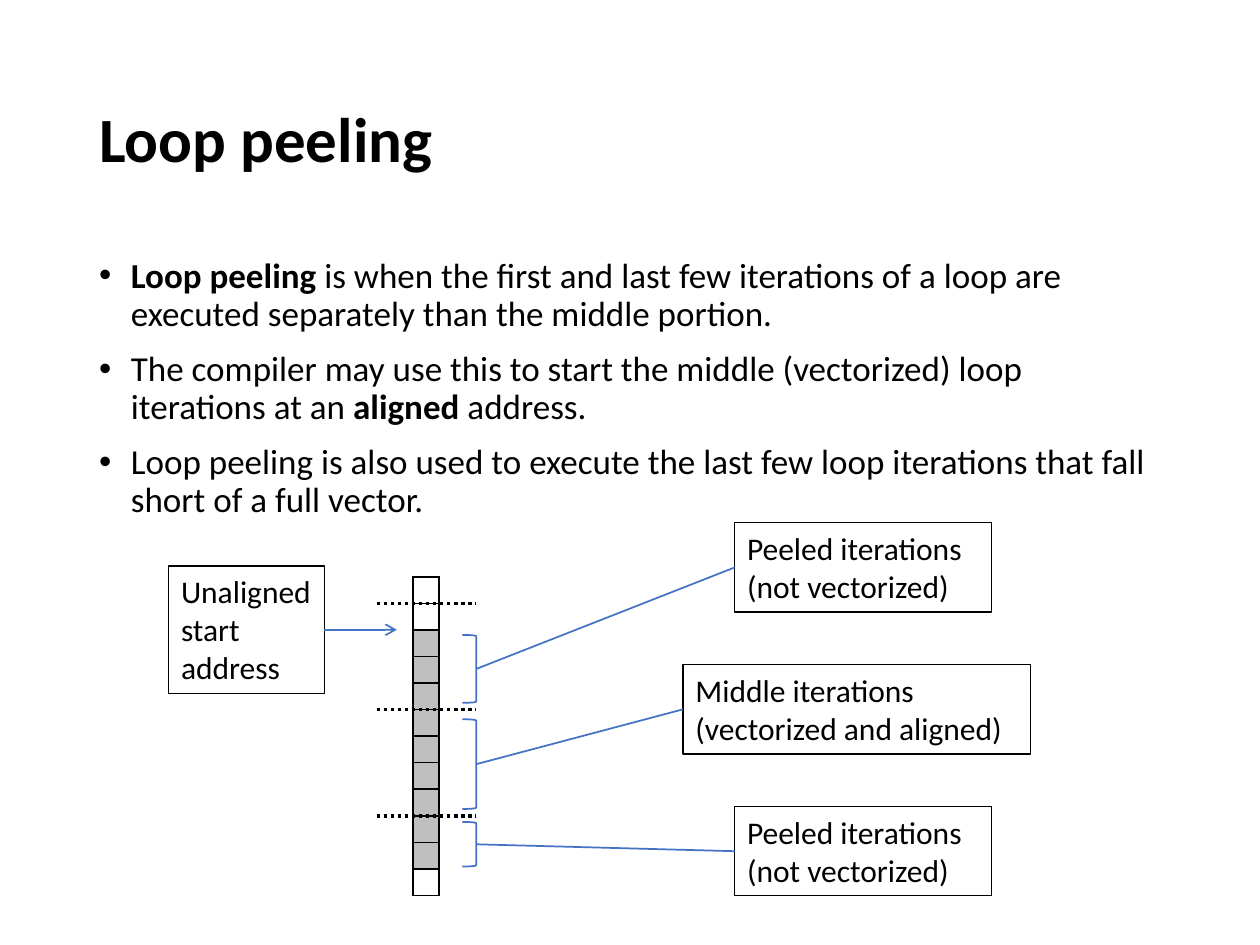
from lxml import etree
from pptx import Presentation
from pptx import util as u
from pptx.dml.color import RGBColor
from pptx.enum import dml, shapes, text
from pptx.oxml import ns

BLACK = RGBColor(0x00, 0x00, 0x00)
WHITE = RGBColor(0xFF, 0xFF, 0xFF)
GRAY = RGBColor(0xBF, 0xBF, 0xBF)
BLUE = RGBColor(0x44, 0x72, 0xC4)


def add_xml(parent, tag, **attributes):
    return etree.SubElement(parent, ns.qn(tag), attributes)


class SlideBuilder:
    font_name = "Calibri"

    def __init__(self, slide):
        self.slide = slide

    def format_runs(self, paragraph, size, bold=False):
        for run in paragraph.runs:
            run.font.name = self.font_name
            run.font.size = u.Pt(size)
            run.font.color.rgb = BLACK
            run.font.bold = bold

    def text_box(self, left, top, width, height):
        box = self.slide.shapes.add_textbox(u.Cm(left), u.Cm(top), u.Cm(width), u.Cm(height))
        box.text_frame.word_wrap = True
        return box.text_frame

    def title(self, words, *place):
        frame = self.text_box(*place)
        frame.vertical_anchor = text.MSO_ANCHOR.MIDDLE
        frame.text = words
        frame.paragraphs[0].line_spacing = 0.9
        self.format_runs(frame.paragraphs[0], 36, bold=True)

    def bullets(self, items, *place):
        """Each item is a list of pieces; a piece between asterisks is bold."""
        frame = self.text_box(*place)
        for index, item in enumerate(items):
            paragraph = frame.add_paragraph() if index else frame.paragraphs[0]
            paragraph.line_spacing = 0.9
            paragraph.space_before = u.Pt(10)
            for piece in item:
                paragraph.add_run().text = piece.strip("*")
            self.format_runs(paragraph, 20)
            for run, piece in zip(paragraph.runs, item):
                run.font.bold = piece.startswith("*")
            properties = paragraph._p.get_or_add_pPr()
            properties.set("marL", str(u.Cm(0.64)))
            properties.set("indent", str(-u.Cm(0.64)))
            add_xml(properties, "a:buFont", typeface="Arial")
            add_xml(properties, "a:buChar", char="•")

    def column(self, fills, left, top, width, row_height):
        frame = self.slide.shapes.add_table(
            len(fills), 1, u.Cm(left), u.Cm(top), u.Cm(width), u.Cm(row_height * len(fills)))
        table = frame.table
        table.first_row = table.horz_banding = False
        for row, fill in zip(table.rows, fills):
            row.height = u.Cm(row_height)
            cell = row.cells[0]
            cell.margin_left = cell.margin_right = cell.margin_top = cell.margin_bottom = 0
            # Small type keeps the empty rows from growing
            add_xml(cell.text_frame.paragraphs[0]._p, "a:endParaRPr", sz="800")
            properties = cell._tc.get_or_add_tcPr()
            for side in ("a:lnL", "a:lnR", "a:lnT", "a:lnB"):
                border = add_xml(properties, side, w=str(u.Pt(1)))
                add_xml(add_xml(border, "a:solidFill"), "a:srgbClr", val=str(BLACK))
            cell.fill.solid()
            cell.fill.fore_color.rgb = fill

    def shape(self, kind, left, top, width, height, color, line_width):
        shape = self.slide.shapes.add_shape(kind, u.Cm(left), u.Cm(top), u.Cm(width), u.Cm(height))
        shape.shadow.inherit = False
        shape.fill.background()
        shape.line.color.rgb = color
        shape.line.width = u.Pt(line_width)
        return shape

    def label(self, words, *place):
        shape = self.shape(shapes.MSO_SHAPE.RECTANGLE, *place, BLACK, 0.75)
        frame = shape.text_frame
        frame.word_wrap = True
        frame.vertical_anchor = text.MSO_ANCHOR.TOP
        frame.text = words
        frame.paragraphs[0].alignment = text.PP_ALIGN.LEFT
        self.format_runs(frame.paragraphs[0], 18)
        return shape

    def bracket(self, *place):
        return self.shape(shapes.MSO_SHAPE.RIGHT_BRACKET, *place, BLUE, 1)

    def line(self, start, end, color=BLUE, width=1):
        connector = self.slide.shapes.add_connector(shapes.MSO_CONNECTOR.STRAIGHT, *start, *end)
        connector.line.color.rgb = color
        connector.line.width = u.Pt(width)
        add_xml(connector._element.spPr, "a:effectLst")
        return connector

    def dotted_line(self, left, right, y):
        connector = self.line((u.Cm(left), u.Cm(y)), (u.Cm(right), u.Cm(y)), BLACK, 2)
        connector.line.dash_style = dml.MSO_LINE.ROUND_DOT

    def arrow(self, source, x):
        middle = source.top + source.height // 2
        connector = self.line((source.left + source.width, middle), (u.Cm(x), middle))
        connector.begin_connect(source, 3)
        add_xml(connector.line._get_or_add_ln(), "a:tailEnd", type="arrow")

    def link(self, label, bracket):
        start = (label.left, label.top + label.height // 2)
        end = (bracket.left + bracket.width, bracket.top + bracket.height // 2)
        self.line(start, end).begin_connect(label, 1)


def main():
    presentation = Presentation()
    presentation.slide_width = u.Cm(25.4)
    presentation.slide_height = u.Cm(19.05)
    builder = SlideBuilder(presentation.slides.add_slide(presentation.slide_layouts[6]))

    # Title and explanation
    builder.title("Loop peeling", 1.75, 1.02, 21.9, 3.68)
    builder.bullets([
        ["*Loop peeling*", " is when the first and last few iterations of a loop are "
         "executed separately than the middle portion."],
        ["The compiler may use this to start the middle (vectorized) loop iterations at an ",
         "*aligned*", " address."],
        ["Loop peeling is also used to execute the last few loop iterations that fall "
         "short of a full vector."],
    ], 1.75, 5.08, 21.9, 12.09)

    # Memory column with alignment boundaries every four elements
    column_top, row_height = 11.63, 0.535
    builder.column([WHITE] * 2 + [GRAY] * 9 + [WHITE], 8.33, column_top, 0.52, row_height)
    for row in (1, 5, 9):
        builder.dotted_line(7.59, 9.6, column_top + row * row_height)

    # Start address
    start = builder.label("Unaligned start address", 3.4, 11.41, 3.14, 2.57)
    builder.arrow(start, 8)

    # Loop parts: label, its left and width, then bracket top and height
    peeled = ("Peeled iterations (not vectorized)", 14.81, 5.18)
    middle = ("Middle iterations (vectorized and aligned)", 13.77, 7.01)
    parts = [(peeled, 12.8, 1.37), (middle, 14.5, 1.81), (peeled, 16.57, 0.9)]
    for index, ((words, left, width), top, height) in enumerate(parts):
        label = builder.label(words, left, 10.54 + 2.86 * index, width, 1.8)
        builder.link(label, builder.bracket(9.32, top, 0.28, height))

    presentation.save("out.pptx")


if __name__ == "__main__":
    main()
